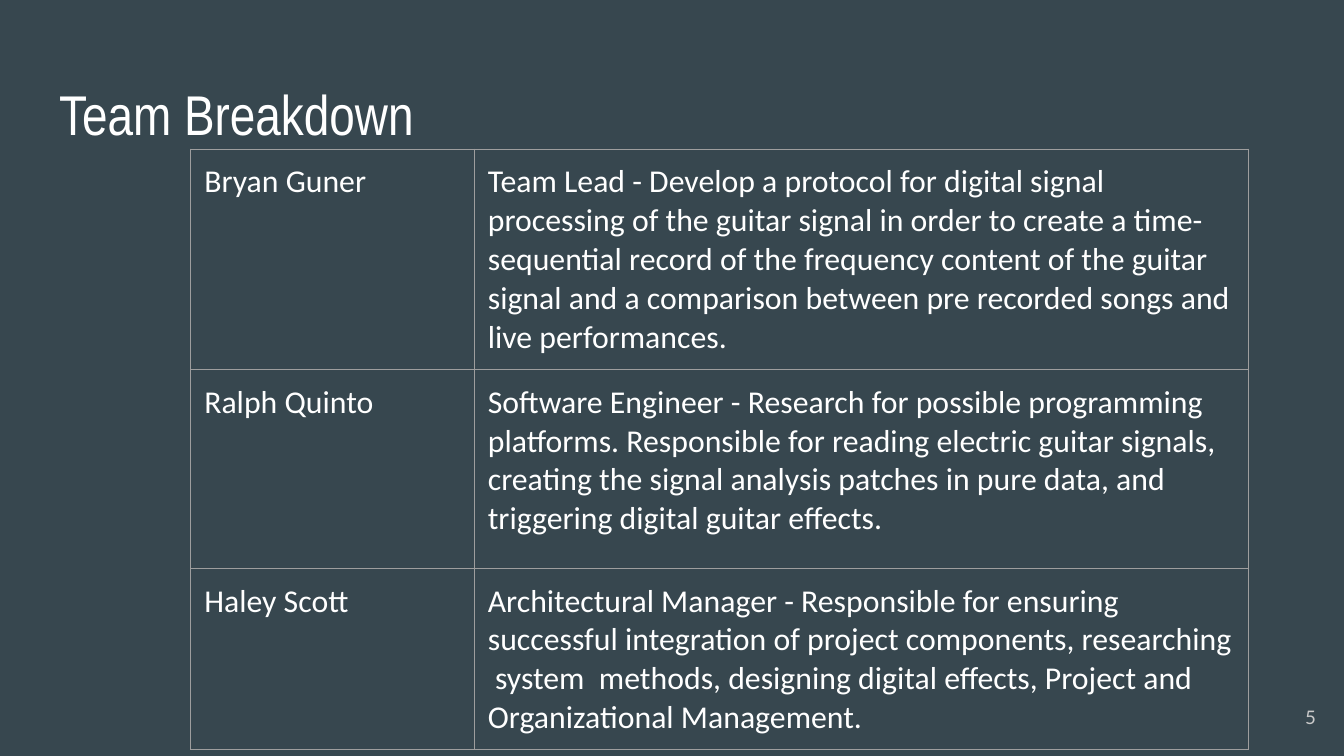
import dataclasses

import lxml.etree
import pptx
import pptx.dml.color
import pptx.enum.text
import pptx.oxml.ns
import pptx.util

Inches = pptx.util.Inches
Pt = pptx.util.Pt
RGB = pptx.dml.color.RGBColor.from_string
Align = pptx.enum.text.PP_ALIGN
Anchor = pptx.enum.text.MSO_ANCHOR
qn = pptx.oxml.ns.qn


@dataclasses.dataclass(frozen=True)
class Theme:
    back: str = "37474F"
    text: str = "FFFFFF"
    mute: str = "CACACA"
    rule: str = "9E9E9E"
    head: str = "Arial Narrow"
    body: str = "Calibri"
    note: str = "Lato"
    head_size: int = 30
    body_size: int = 17
    note_size: int = 10
    line: float = 0.75
    pad: float = 0.1


THEME = Theme()

TEAM = [
    ("Bryan Guner",
     "Team Lead - Develop a protocol for digital signal processing of the "
     "guitar signal in order to create a time-sequential record of the "
     "frequency content of the guitar signal and a comparison between pre "
     "recorded songs and live performances."),
    ("Ralph Quinto",
     "Software Engineer - Research for possible programming platforms. "
     "Responsible for reading electric guitar signals, creating the signal "
     "analysis patches in pure data, and triggering digital guitar effects."),
    ("Haley Scott",
     "Architectural Manager - Responsible for ensuring successful integration "
     "of project components, researching  system  methods, designing digital "
     "effects, Project and Organizational Management."),
]


def write(frame, text, *, font=THEME.body, size=THEME.body_size,
          color=THEME.text, align=Align.LEFT):
    frame.word_wrap = True
    para = frame.paragraphs[0]
    para.alignment = align
    run = para.add_run()
    run.text = text
    run.font.name = font
    run.font.size = Pt(size)
    run.font.bold = False
    run.font.color.rgb = RGB(color)


def inset(part):
    """Give a text frame or a table cell the same margin on all sides."""
    part.margin_left = part.margin_right = Inches(THEME.pad)
    part.margin_top = part.margin_bottom = Inches(THEME.pad)


def border(cell):
    props = cell._tc.get_or_add_tcPr()
    for spot, side in enumerate("LRTB"):
        line = lxml.etree.Element(qn(f"a:ln{side}"), w=str(Pt(THEME.line)))
        fill = lxml.etree.SubElement(line, qn("a:solidFill"))
        lxml.etree.SubElement(fill, qn("a:srgbClr"), val=THEME.rule)
        props.insert(spot, line)


def add_title(slide, box, text):
    title = slide.shapes.title
    title.left, title.top, title.width, title.height = map(Inches, box)
    frame = title.text_frame
    inset(frame)
    frame.auto_size = pptx.enum.text.MSO_AUTO_SIZE.NONE
    frame.vertical_anchor = Anchor.TOP
    write(frame, text, font=THEME.head, size=THEME.head_size)


def add_team(slide, box, team, cols, rows):
    grid = slide.shapes.add_table(len(rows), len(cols), *map(Inches, box)).table
    grid.first_row = grid.horz_banding = False
    for col, width in zip(grid.columns, cols):
        col.width = Inches(width)
    for row, height, texts in zip(grid.rows, rows, team):
        row.height = Inches(height)
        for cell, text in zip(row.cells, texts):
            cell.fill.background()
            border(cell)
            inset(cell)
            write(cell.text_frame, text)


def add_number(slide, box, text):
    frame = slide.shapes.add_textbox(*map(Inches, box)).text_frame
    inset(frame)
    frame.vertical_anchor = Anchor.MIDDLE
    write(frame, text, font=THEME.note, size=THEME.note_size,
          color=THEME.mute, align=Align.RIGHT)


def main():
    deck = pptx.Presentation()
    deck.slide_width = Inches(10)
    deck.slide_height = deck.slide_width * 9 // 16
    slide = deck.slides.add_slide(deck.slide_layouts[5])
    fill = slide.background.fill
    fill.solid()
    fill.fore_color.rgb = RGB(THEME.back)

    cols, rows = (2.11, 5.76), (1.64, 1.48, 1.35)
    add_title(slide, (0.34, 0.49, 9.32, 0.63), "Team Breakdown")
    add_number(slide, (9.29, 5.12, 0.6, 0.43), "5")
    add_team(slide, (1.42, 1.11, sum(cols), sum(rows)), TEAM, cols, rows)
    deck.save("out.pptx")


if __name__ == "__main__":
    main()
